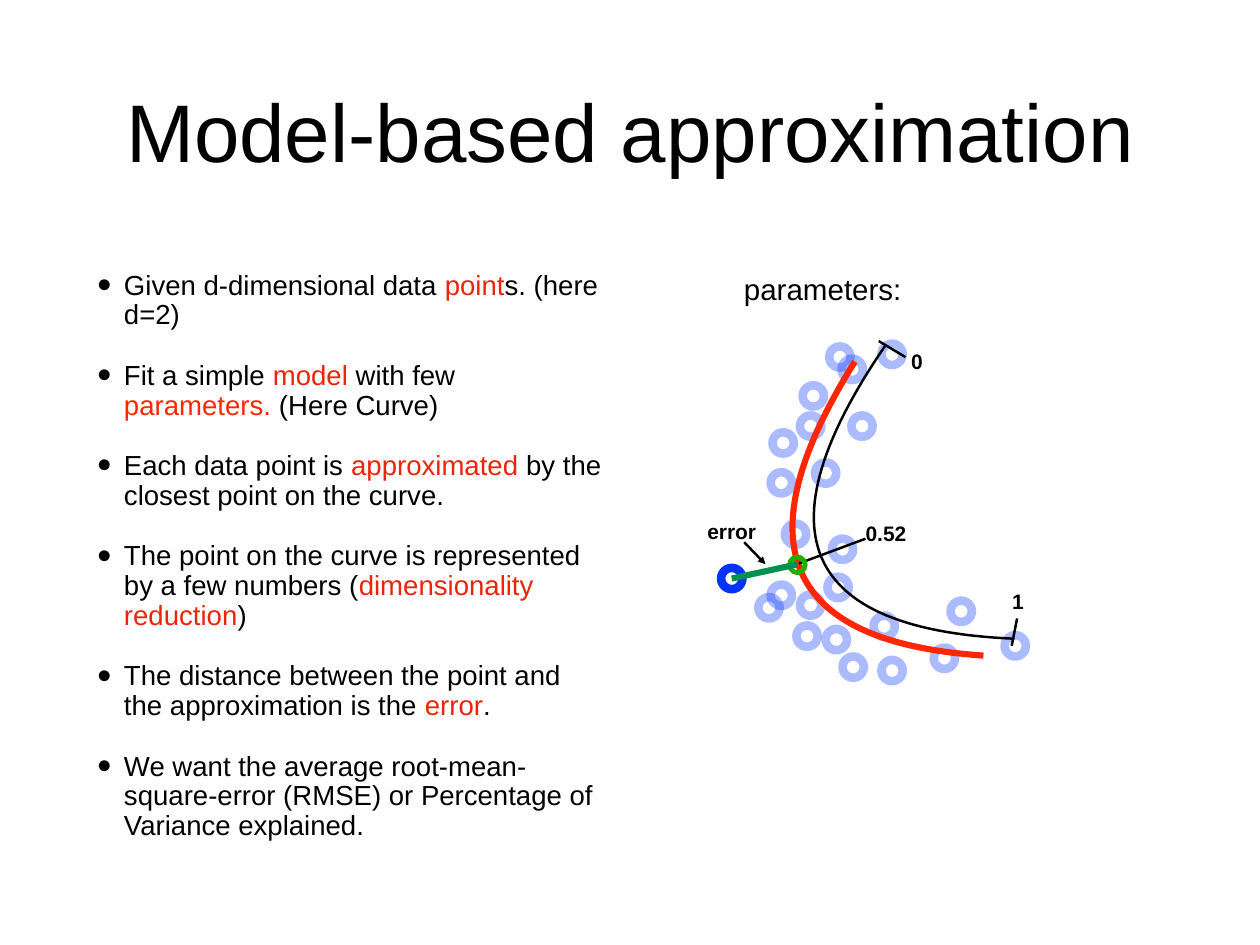
"""Build the slide on model-based approximation with a fitted curve diagram."""
from dataclasses import dataclass

from lxml.etree import SubElement
from pptx import Presentation
from pptx.dml.color import RGBColor
from pptx.enum.shapes import MSO_CONNECTOR, MSO_SHAPE
from pptx.enum.text import MSO_ANCHOR, PP_ALIGN
from pptx.oxml.ns import qn
from pptx.util import Pt

BLACK = RGBColor(0x00, 0x00, 0x00)
KEYWORD = RGBColor(0xEE, 0x23, 0x0C)
RED = RGBColor(0xFF, 0x26, 0x00)
BLUE = RGBColor(0x04, 0x33, 0xFF)
LIME = RGBColor(0x1E, 0xB0, 0x01)
GREEN = RGBColor(0x00, 0x90, 0x51)

FONT = "Arial"
INSET = 4.3
DOT_SIZE = 17.3
CURVE_STEPS = 60

Point = tuple[float, float]


@dataclass
class Label:
    text: str
    left: float
    top: float
    width: float
    height: float = 28.8
    size: float = 17
    bold: bool = True


@dataclass
class Ring:
    center: Point
    color: RGBColor = BLUE
    size: float = DOT_SIZE
    weight: float = 7
    opacity: int = 100


@dataclass
class Curve:
    start: Point
    control1: Point
    control2: Point
    end: Point
    color: RGBColor
    weight: float

    def at(self, t: float) -> tuple[int, int]:
        u = 1 - t
        weights = (u**3, 3 * u * u * t, 3 * u * t * t, t**3)
        knots = (self.start, self.control1, self.control2, self.end)
        x, y = (sum(w * k[i] for w, k in zip(weights, knots)) for i in (0, 1))
        return Pt(x), Pt(y)


@dataclass
class Line:
    start: Point
    end: Point
    color: RGBColor = BLACK
    weight: float = 2
    arrow: bool = False


TITLE = Label("Model-based approximation", 74.9, 20.2, 874.1, 169.9, 66.4, False)
BULLETS = [
    [("Given d-dimensional data ", BLACK), ("point", KEYWORD), ("s. (here d=2)", BLACK)],
    [("Fit a simple ", BLACK), ("model", KEYWORD), (" with few ", BLACK),
     ("parameters.", RED), (" (Here Curve)", BLACK)],
    [("Each data point is ", BLACK), ("approximated", KEYWORD),
     (" by the closest point on the curve.", BLACK)],
    [("The point on the curve is represented by a few numbers (", BLACK),
     ("dimensionality reduction", KEYWORD), (")", BLACK)],
    [("The distance between the point and the approximation is the ", BLACK),
     ("error", KEYWORD), (".", BLACK)],
    [("We want the average root-mean-square-error (RMSE) or "
      "Percentage of Variance explained.", BLACK)],
]
DATA_POINTS = [
    (682.6, 290.2), (692.6, 300.2), (671, 384.5), (635, 392.4), (700.6, 346.3),
    (725, 288), (661, 321.8), (646.6, 434.2), (684.7, 446.4), (636.5, 360),
    (658.8, 491.8), (658.8, 346.3), (625, 493.9), (635, 483.8), (718.6, 509),
    (725, 545), (681.1, 477.4), (655.9, 517), (767.5, 535), (781.2, 496.8),
    (693.4, 542.2), (825.1, 524.9), (679.7, 519.8),
]
MODEL = Curve((799.2, 532.8), (636.5, 522), (601.9, 442.1), (694.8, 293.8), RED, 5)
SCALE = Curve((824.4, 519.1), (650.9, 511.9), (615.6, 432), (720, 280.1), BLACK, 2)
LABELS = [
    Label("parameters:", 599.8, 216.7, 137.5, 36, 24, False),
    Label("0", 735.8, 279.4, 18.7),
    Label("1", 817.9, 473.8, 18.7),
    Label("0.52", 699.1, 419, 41.8),
    Label("error", 570.2, 416.9, 49),
]
TICKS = [
    Line((714.2, 277.2), (735.8, 290.2)),
    Line((822.2, 524.9), (826.6, 502.6)),
    Line((649.4, 457.9), (703.4, 437.8)),
]
OUTLIER = Ring((594.7, 470.2))
CLOSEST = Ring((648, 459), LIME, 12.6, 4)
ERROR = Line((594.7, 470.2), (648, 458.6), GREEN, 5)
POINTER = Line((604.8, 440.6), (622.1, 458.6), arrow=True)


def add_box(s, left: float, top: float, width: float, height: float, wrap: bool):
    tf = s.shapes.add_textbox(Pt(left), Pt(top), Pt(width), Pt(height)).text_frame
    tf.word_wrap = wrap
    tf.vertical_anchor = MSO_ANCHOR.MIDDLE
    tf.margin_left = tf.margin_right = tf.margin_top = tf.margin_bottom = Pt(INSET)
    return tf


def style_run(r, size: float, color: RGBColor, bold: bool = False) -> None:
    r.font.name, r.font.size, r.font.bold = FONT, Pt(size), bold
    r.font.color.rgb = color


def add_label(s, label: Label) -> None:
    tf = add_box(s, label.left, label.top, label.width, label.height, False)
    tf.text = label.text
    p = tf.paragraphs[0]
    p.alignment = PP_ALIGN.CENTER
    style_run(p.runs[0], label.size, BLACK, label.bold)


def add_bullets(s) -> None:
    tf = add_box(s, 74.9, 204.5, 419.8, 495.4, True)
    for i, parts in enumerate(BULLETS):
        p = tf.add_paragraph() if i else tf.paragraphs[0]
        pPr = p._p.get_or_add_pPr()
        pPr.set("marL", str(Pt(21.6)))
        pPr.set("indent", str(-Pt(21.6)))
        SubElement(pPr, qn("a:buSzPct"), val="145000")
        SubElement(pPr, qn("a:buFont"), typeface=FONT)
        SubElement(pPr, qn("a:buChar"), char="•")
        p.line_spacing = 0.9
        p.space_before = Pt(25 if i else 0)
        for text, color in parts:
            r = p.add_run()
            r.text = text
            style_run(r, 22.4, color)


def add_ring(s, ring: Ring) -> None:
    x, y = (c - ring.size / 2 for c in ring.center)
    sp = s.shapes.add_shape(MSO_SHAPE.OVAL, Pt(x), Pt(y), Pt(ring.size), Pt(ring.size))
    style_outline(sp, ring.color, ring.weight)
    if ring.opacity < 100:
        color = sp.element.spPr.find(".//" + qn("a:srgbClr"))
        SubElement(color, qn("a:alpha"), val=str(ring.opacity * 1000))


def add_curve(s, curve: Curve) -> None:
    points = [curve.at(i / CURVE_STEPS) for i in range(CURVE_STEPS + 1)]
    builder = s.shapes.build_freeform(*points[0])
    builder.add_line_segments(points[1:], close=False)
    style_outline(builder.convert_to_shape(), curve.color, curve.weight)


def style_outline(sp, color: RGBColor, weight: float) -> None:
    sp.shadow.inherit = False
    sp.fill.background()
    sp.line.color.rgb, sp.line.width = color, Pt(weight)


def add_line(s, line: Line) -> None:
    ends = [Pt(v) for v in (*line.start, *line.end)]
    cxn = s.shapes.add_connector(MSO_CONNECTOR.STRAIGHT, *ends)
    cxn.line.color.rgb, cxn.line.width = line.color, Pt(line.weight)
    spPr = cxn.element.spPr
    if line.arrow:
        SubElement(spPr.find(qn("a:ln")), qn("a:tailEnd"), type="triangle")
    SubElement(spPr, qn("a:effectLst"))


def main() -> None:
    prs = Presentation()
    prs.slide_width, prs.slide_height = Pt(1024), Pt(768)
    s = prs.slides.add_slide(prs.slide_layouts[6])
    add_label(s, TITLE)
    add_bullets(s)
    for center in DATA_POINTS:
        add_ring(s, Ring(center, opacity=32))
    for curve in (MODEL, SCALE):
        add_curve(s, curve)
    for label in LABELS:
        add_label(s, label)
    for tick in TICKS:
        add_line(s, tick)
    for ring in (OUTLIER, CLOSEST):
        add_ring(s, ring)
    for line in (ERROR, POINTER):
        add_line(s, line)
    prs.save("out.pptx")


if __name__ == "__main__":
    main()
